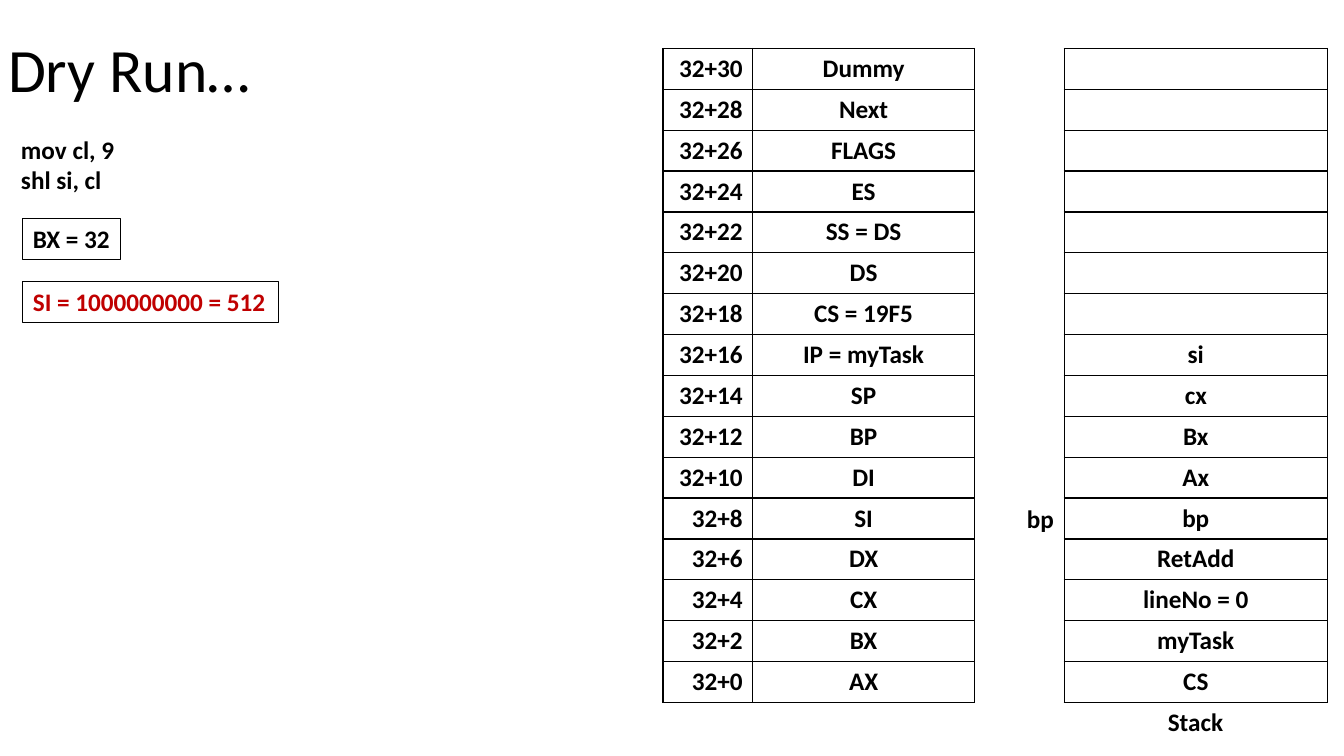
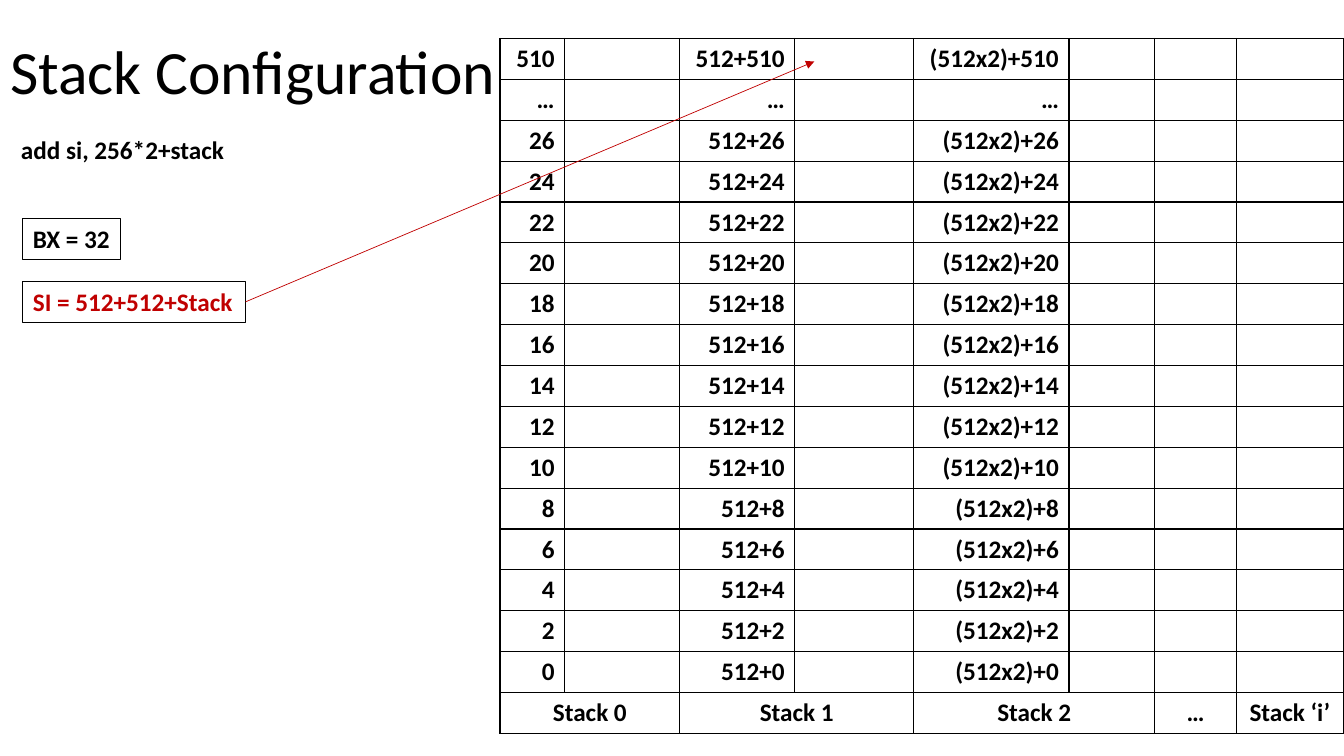
from dataclasses import dataclass

from lxml.etree import SubElement
from pptx import Presentation
from pptx.dml.color import RGBColor
from pptx.enum.shapes import MSO_CONNECTOR
from pptx.enum.text import MSO_ANCHOR, MSO_AUTO_SIZE, PP_ALIGN
from pptx.oxml.ns import qn
from pptx.util import Cm, Pt

BLACK = RGBColor(0x00, 0x00, 0x00)
RED = RGBColor(0xC0, 0x00, 0x00)
FONT = "Calibri"
ROW_H = 1.03
LEFT, CENTER, RIGHT = PP_ALIGN.LEFT, PP_ALIGN.CENTER, PP_ALIGN.RIGHT


@dataclass
class Label:
    """A text box; lengths in cm."""
    text: str
    x: float
    y: float
    w: float
    h: float = ROW_H
    color: RGBColor = BLACK
    framed: bool = False


@dataclass
class Grid:
    """A bordered table; lengths in cm, one alignment per column."""
    x: float
    y: float
    widths: list[float]
    aligns: list[PP_ALIGN]
    rows: list[list[str]]


# Shared styles
def format_text(tf, size: float, color: RGBColor, bold: bool, align: PP_ALIGN) -> None:
    for p in tf.paragraphs:
        p.alignment = align
        for r in p.runs:
            r.font.name = FONT
            r.font.size = Pt(size)
            r.font.bold = bold
            r.font.color.rgb = color


def add_slide(prs, title: str, x: float, y: float):
    s = prs.slides.add_slide(prs.slide_layouts[5])
    sp = s.shapes.title
    sp.left, sp.top, sp.width, sp.height = Cm(x), Cm(y), Cm(29.21), Cm(3.68)
    tf = sp.text_frame
    tf.text = title
    tf.vertical_anchor = MSO_ANCHOR.MIDDLE
    tf.paragraphs[0].line_spacing = 0.9
    format_text(tf, 44, BLACK, False, LEFT)
    return s


def add_label(s, label: Label):
    sp = s.shapes.add_textbox(Cm(label.x), Cm(label.y), Cm(label.w), Cm(label.h))
    tf = sp.text_frame
    tf.text = label.text
    tf.word_wrap = False
    tf.auto_size = MSO_AUTO_SIZE.SHAPE_TO_FIT_TEXT
    format_text(tf, 18, label.color, True, LEFT)
    if label.framed:
        sp.line.color.rgb = BLACK
        sp.line.width = Pt(0.75)
    return sp


def add_borders(cell) -> None:
    tc_pr = cell._tc.get_or_add_tcPr()
    for side in ("lnL", "lnR", "lnT", "lnB"):
        ln = SubElement(tc_pr, qn(f"a:{side}"), w=str(Pt(1)))
        fill = SubElement(ln, qn("a:solidFill"))
        SubElement(fill, qn("a:srgbClr"), val=str(BLACK))


def add_grid(s, grid: Grid):
    n = len(grid.rows)
    frame = s.shapes.add_table(n, len(grid.widths), Cm(grid.x), Cm(grid.y),
                               Cm(sum(grid.widths)), Cm(n * ROW_H))
    table = frame.table
    table.first_row = table.horz_banding = False
    for col, width in zip(table.columns, grid.widths):
        col.width = Cm(width)
    for row, texts in zip(table.rows, grid.rows):
        row.height = Cm(ROW_H)
        for cell, text, align in zip(row.cells, texts, grid.aligns):
            add_borders(cell)
            cell.fill.background()
            if text:
                cell.text = text
                format_text(cell.text_frame, 18, BLACK, True, align)
    return table


def add_arrow(s, source, x: float, y: float) -> None:
    """Arrow from the right side of a box to a point."""
    line = s.shapes.add_connector(MSO_CONNECTOR.STRAIGHT, 0, 0, Cm(x), Cm(y))
    line.begin_connect(source, 3)
    line.line.color.rgb = RED
    line.line.width = Pt(0.5)
    SubElement(line.line._get_or_add_ln(), qn("a:tailEnd"), type="triangle")
    SubElement(line._element.spPr, qn("a:effectLst"))


def add_registers(s, code: Label, si_text: str, si_width: float):
    """Code on top, the BX and SI boxes below; returns the SI box."""
    add_label(s, code)
    add_label(s, Label("BX = 32", 0.58, 5.51, 2.46, framed=True))
    return add_label(s, Label(si_text, 0.58, 7.09, si_width, color=RED, framed=True))


def build_dry_run(prs) -> None:
    s = add_slide(prs, "Dry Run…", -0.05, 0)

    # Stack contents
    pushed = ["si", "cx", "Bx", "Ax", "bp", "RetAdd", "lineNo = 0", "myTask", "CS"]
    stack = [""] * (16 - len(pushed)) + pushed
    add_grid(s, Grid(26.82, 1.22, [6.63], [CENTER], [[text] for text in stack]))
    add_label(s, Label("bp", 25.63, 12.55, 1.19))
    add_label(s, Label("Stack", 29.18, 17.68, 1.93))

    # Process control block
    fields = ["Dummy", "Next", "FLAGS", "ES", "SS = DS", "DS", "CS = 19F5",
              "IP = myTask", "SP", "BP", "DI", "SI", "DX", "CX", "BX", "AX"]
    rows = [[f"32+{30 - 2 * i}", field] for i, field in enumerate(fields)]
    add_grid(s, Grid(16.71, 1.22, [2.26, 5.59], [RIGHT, CENTER], rows))

    add_registers(s, Label("mov cl, 9\nshl si, cl", 0.28, 3.25, 2.9, 1.8),
                  "SI = 1000000000 = 512", 6.45)


def build_stack_configuration(prs) -> None:
    s = add_slide(prs, "Stack Configuration", 0, 0.03)

    # Offsets of each stack, with the stack names in the last row
    offsets = ["510", "…"] + [str(n) for n in range(26, -1, -2)]
    rows = []
    for offset in offsets:
        bases = ("", "", "") if offset == "…" else ("", "512+", "(512x2)+")
        cells = [text for base in bases for text in (base + offset, "")]
        rows.append(cells + ["", ""])
    rows.append(["Stack 0", "", "Stack 1", "", "Stack 2", "", "…", "Stack ‘i’"])
    table = add_grid(s, Grid(12.6, 0.97, [1.63, 2.9, 2.9, 3, 3.91, 2.16, 2.06, 2.69],
                             [RIGHT] * 8, rows))
    last = len(rows) - 1
    for col in (0, 2, 4):
        table.cell(last, col).merge(table.cell(last, col + 1))
    for cell in table.rows[last].cells:
        cell.text_frame.paragraphs[0].alignment = CENTER

    si_box = add_registers(s, Label("add si, 256*2+stack", 0.28, 3.25, 5.69),
                           "SI = 512+512+Stack", 5.61)
    add_arrow(s, si_box, 20.52, 1.55)


def main() -> None:
    prs = Presentation()
    prs.slide_width, prs.slide_height = Cm(33.87), Cm(19.05)
    build_dry_run(prs)
    build_stack_configuration(prs)
    prs.save("out.pptx")


if __name__ == "__main__":
    main()
